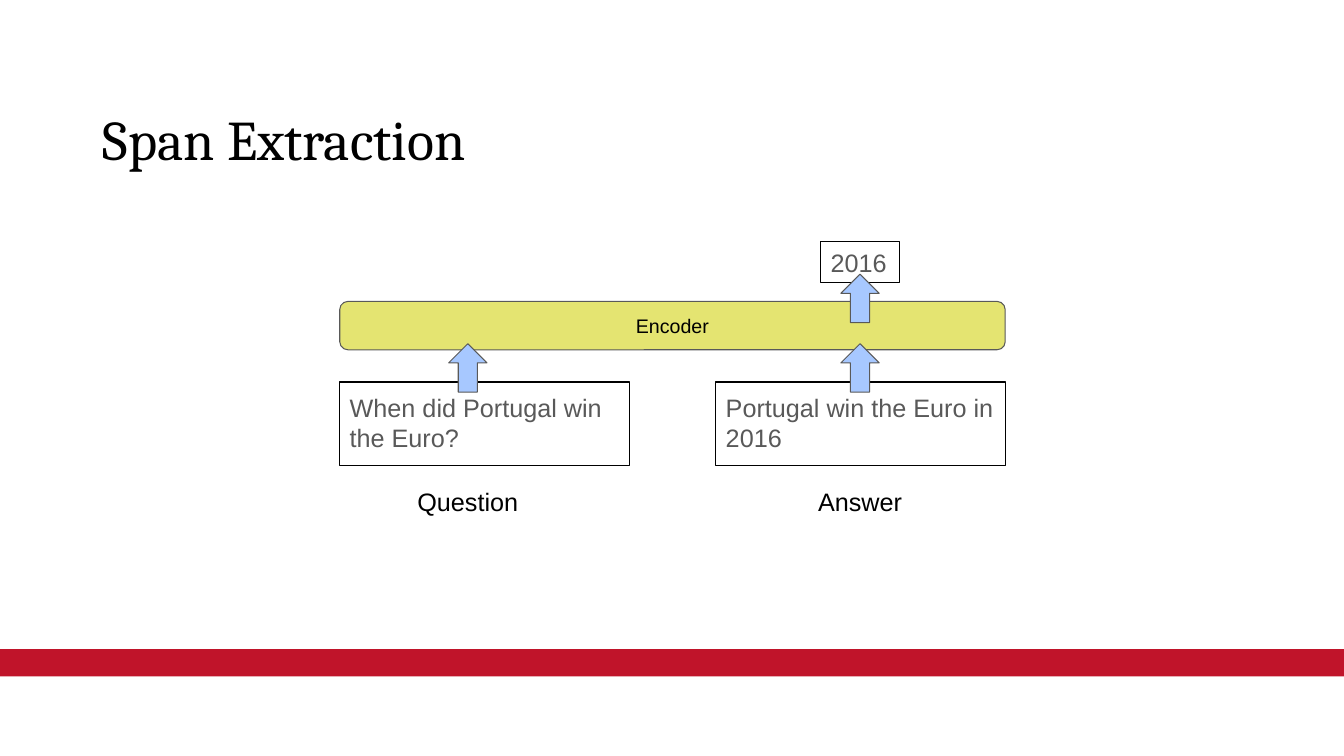
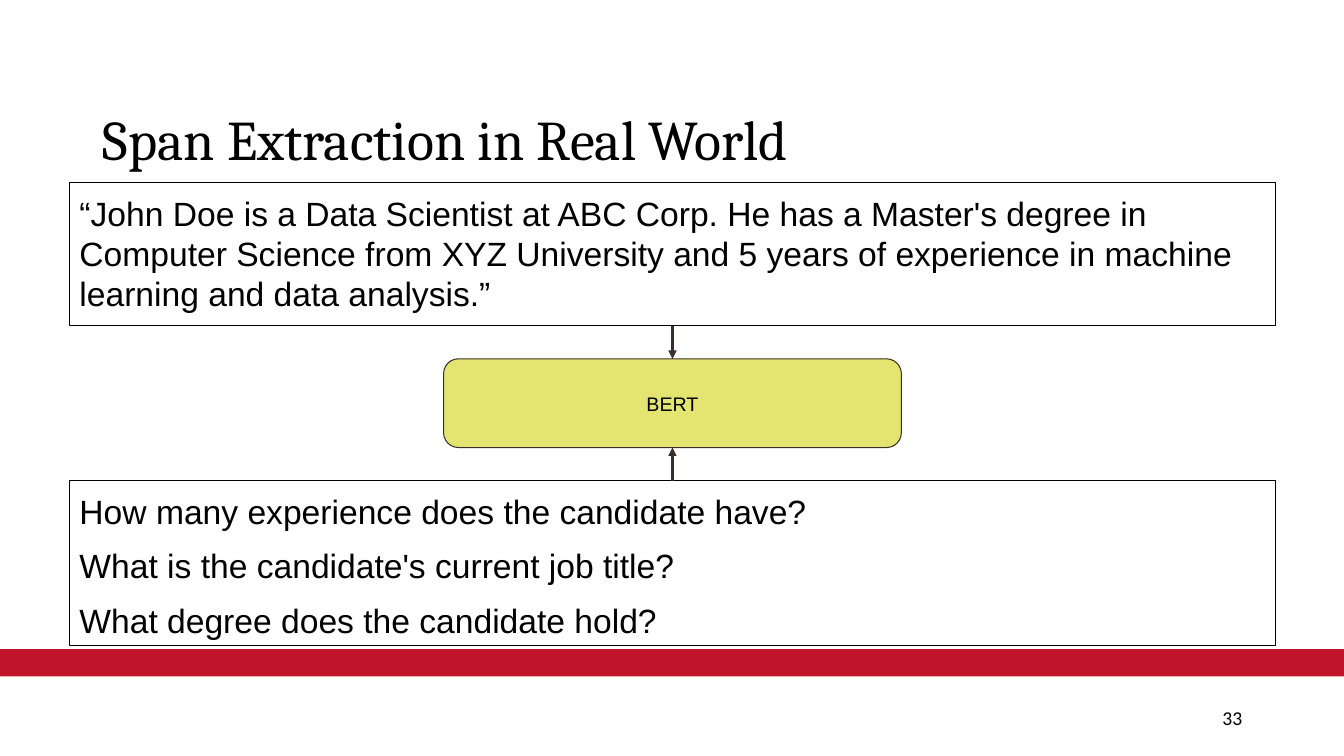
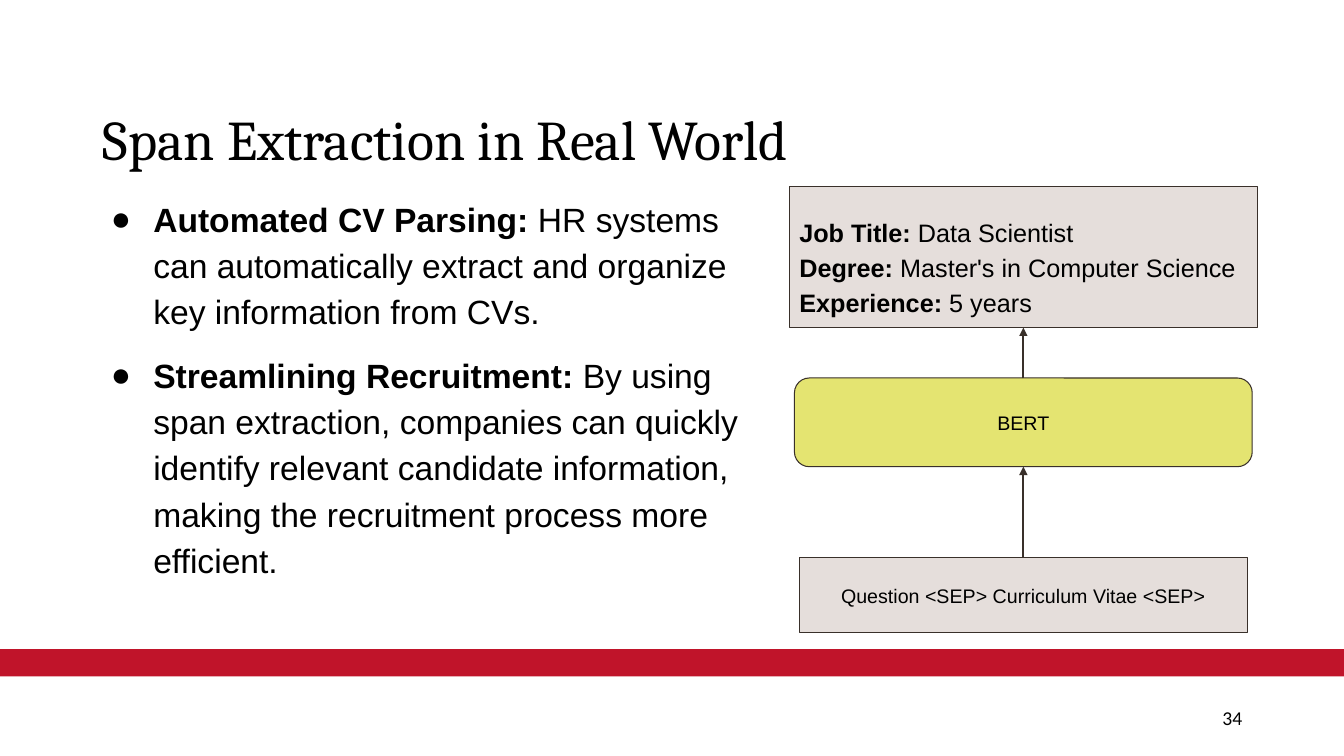
import dataclasses

import lxml.etree
import pptx
import pptx.dml.color
import pptx.enum.shapes
import pptx.enum.text
import pptx.oxml.ns
import pptx.util

SHAPE = pptx.enum.shapes.MSO_SHAPE
ALIGN = pptx.enum.text.PP_ALIGN
ANCHOR = pptx.enum.text.MSO_ANCHOR
EMU_PER_PX = 9144
SLIDE_WIDTH, SLIDE_HEIGHT = 1333, 750


@dataclasses.dataclass(frozen=True)
class Theme:
    black: str = "000000"
    gray: str = "595959"
    brown: str = "39302A"
    band: str = "C0142A"
    model: str = "E4E471"
    arrow: str = "A7C8FF"
    panel: str = "E5DEDB"
    title_font: str = "Cambria"
    body_font: str = "Arial"
    number_font: str = "Calibri"
    title_size: int = 40
    body_size: int = 24
    label_size: int = 18
    small_size: int = 14
    thin: float = 0.75
    thick: float = 1.5


@dataclasses.dataclass(frozen=True)
class Box:
    left: int
    top: int
    width: int
    height: int

    def inner(self, left, top, width, height):
        return Box(self.left + left, self.top + top, width, height)

    def emu(self):
        return [px(value) for value in dataclasses.astuple(self)]


THEME = Theme()


def px(value):
    return pptx.util.Emu(value * EMU_PER_PX)


def rgb(value):
    return pptx.dml.color.RGBColor.from_string(value)


def place(shape, box):
    shape.left, shape.top, shape.width, shape.height = box.emu()


def add_child(parent, tag, **attributes):
    return lxml.etree.SubElement(parent, pptx.oxml.ns.qn(tag), attributes)


def add_bullet(paragraph):
    properties = paragraph._p.get_or_add_pPr()
    properties.set("marL", str(px(50)))
    properties.set("indent", str(px(-42)))
    color = add_child(properties, "a:buClr")
    add_child(color, "a:srgbClr", val=THEME.black)
    add_child(properties, "a:buFont", typeface=THEME.body_font)
    add_child(properties, "a:buChar", char="●")


def write(shape, paragraphs, size=THEME.label_size, color=THEME.black, font=THEME.body_font,
          align=ALIGN.LEFT, anchor=ANCHOR.TOP, margin=10, spacing=1.0, gap=0, bullets=False):
    frame = shape.text_frame
    frame.word_wrap = True
    frame.auto_size = pptx.enum.text.MSO_AUTO_SIZE.NONE
    frame.vertical_anchor = anchor
    frame.margin_left = frame.margin_right = px(10)
    frame.margin_top = frame.margin_bottom = px(margin)
    for index, runs in enumerate(paragraphs):
        paragraph = frame.add_paragraph() if index else frame.paragraphs[0]
        if bullets:
            add_bullet(paragraph)
        paragraph.alignment = align
        paragraph.line_spacing = spacing
        paragraph.space_before = pptx.util.Pt(gap if index else 0)
        for text, bold in runs:
            run = paragraph.add_run()
            run.text = text
            run.font.name = font
            run.font.size = pptx.util.Pt(size)
            run.font.bold = bold
            run.font.color.rgb = rgb(color)


def plain(*lines):
    return [[(line, False)] for line in lines]


def headed(*pairs):
    return [[(heading, True), (text, False)] for heading, text in pairs]


def add_panel(slide, box, kind=SHAPE.RECTANGLE, fill=None, line=THEME.black):
    shape = slide.shapes.add_shape(kind, *box.emu())
    shape.shadow.inherit = False
    if fill:
        shape.fill.solid()
        shape.fill.fore_color.rgb = rgb(fill)
    else:
        shape.fill.background()
    if line:
        shape.line.color.rgb = rgb(line)
        shape.line.width = pptx.util.Pt(THEME.thin)
    else:
        shape.line.fill.background()
    return shape


def add_centered_panel(slide, box, text, kind=SHAPE.RECTANGLE, fill=THEME.panel, line=THEME.brown):
    shape = add_panel(slide, box, kind, fill, line)
    write(shape, plain(text), THEME.small_size, align=ALIGN.CENTER, anchor=ANCHOR.MIDDLE)
    return shape


def add_model(slide, box, text, line=THEME.brown):
    return add_centered_panel(slide, box, text, SHAPE.ROUNDED_RECTANGLE, THEME.model, line)


def add_text_box(slide, box, text, **style):
    write(slide.shapes.add_textbox(*box.emu()), plain(text), **style)


def connect(slide, start, start_site, end, end_site):
    connector = slide.shapes.add_connector(pptx.enum.shapes.MSO_CONNECTOR.STRAIGHT, 0, 0, 0, 0)
    connector.begin_connect(start, start_site)
    connector.end_connect(end, end_site)
    connector.line.color.rgb = rgb(THEME.brown)
    connector.line.width = pptx.util.Pt(THEME.thick)
    add_child(connector.line._get_or_add_ln(), "a:tailEnd", type="triangle")
    add_child(connector._element.spPr, "a:effectLst")


def add_slide(presentation, layout_index, title, number=None):
    slide = presentation.slides.add_slide(presentation.slide_layouts[layout_index])
    place(slide.shapes.title, Box(92, 97, 1150, 88))
    write(slide.shapes.title, plain(title), THEME.title_size, font=THEME.title_font,
          anchor=ANCHOR.MIDDLE, margin=5, spacing=0.9)
    if number:
        add_text_box(slide, Box(942, 695, 300, 40), number, size=THEME.small_size,
                     font=THEME.number_font, align=ALIGN.RIGHT, margin=5)
    return slide


def add_master_band(presentation, slide):
    band = add_panel(slide, Box(0, 644, SLIDE_WIDTH, 27), fill=THEME.band, line=None)
    presentation.slide_master.shapes._spTree.insert(2, band._element)


def draw_encoder(slide, box):
    inputs = [
        (0, 127, "Question", "When did Portugal win the Euro?"),
        (373, 516, "Answer", "Portugal win the Euro in 2016"),
    ]
    for left, center, label, text in inputs:
        panel = add_panel(slide, box.inner(left, 139, 287, 83))
        write(panel, plain(text), color=THEME.gray)
        add_text_box(slide, box.inner(center - 109, 244, 218, 27), label,
                     align=ALIGN.CENTER, anchor=ANCHOR.MIDDLE)
    add_model(slide, box.inner(0, 59, box.width, 48), "Encoder", THEME.gray)
    result = add_panel(slide, box.inner(477, 0, 78, 40))
    write(result, plain("2016"), color=THEME.gray, anchor=ANCHOR.MIDDLE)
    for center, top in [(127, 101), (516, 101), (516, 32)]:
        add_panel(slide, box.inner(center - 19, top, 38, 48), SHAPE.UP_ARROW,
                  THEME.arrow, THEME.gray)


def draw_questions(slide, box):
    context = add_panel(slide, box.inner(0, 0, box.width, 142))
    write(context, plain(
        "“John Doe is a Data Scientist at ABC Corp. He has a Master's degree in Computer Science "
        "from XYZ University and 5 years of experience in machine learning and data analysis.”"),
        THEME.body_size)
    model = add_model(slide, box.inner((box.width - 454) // 2, 175, 454, 88), "BERT")
    questions = add_panel(slide, box.inner(0, 296, box.width, 163))
    write(questions, plain(
        "How many experience does the candidate have?",
        "What is the candidate's current job title?",
        "What degree does the candidate hold?"), THEME.body_size, gap=10)
    connect(slide, context, 2, model, 0)
    connect(slide, questions, 0, model, 2)


def draw_extraction(slide, box):
    def row(top, width, height):
        return box.inner((box.width - width) // 2, top, width, height)

    answers = add_panel(slide, row(0, box.width, 140), fill=THEME.panel, line=THEME.brown)
    write(answers, headed(
        ("Job Title:", " Data Scientist"),
        ("Degree:", " Master's in Computer Science"),
        ("Experience:", " 5 years")), anchor=ANCHOR.BOTTOM, spacing=1.15)
    model = add_model(slide, row(190, 454, 88), "BERT")
    source = add_centered_panel(slide, row(368, 444, 75), "Question <SEP> Curriculum Vitae <SEP>")
    connect(slide, source, 0, model, 2)
    connect(slide, model, 0, answers, 2)


def fill_benefits(slide, box):
    body = slide.placeholders[1]
    place(body, box)
    write(body, headed(
        ("Automated CV Parsing:",
         " HR systems can automatically extract and organize key information from CVs."),
        ("Streamlining Recruitment:",
         " By using span extraction, companies can quickly identify relevant candidate "
         "information, making the recruitment process more efficient.")),
        THEME.body_size, spacing=1.15, gap=12, bullets=True)


def main():
    presentation = pptx.Presentation()
    presentation.slide_width = px(SLIDE_WIDTH)
    presentation.slide_height = px(SLIDE_HEIGHT)

    encoder_slide = add_slide(presentation, 5, "Span Extraction")
    add_master_band(presentation, encoder_slide)
    draw_encoder(encoder_slide, Box(337, 240, 660, 271))

    question_slide = add_slide(presentation, 5, "Span Extraction in Real World", "33")
    draw_questions(question_slide, Box(69, 181, 1196, 459))

    benefit_slide = add_slide(presentation, 1, "Span Extraction in Real World", "34")
    fill_benefits(benefit_slide, Box(92, 181, 690, 416))
    draw_extraction(benefit_slide, Box(783, 185, 464, 443))

    presentation.save("out.pptx")


if __name__ == "__main__":
    main()
